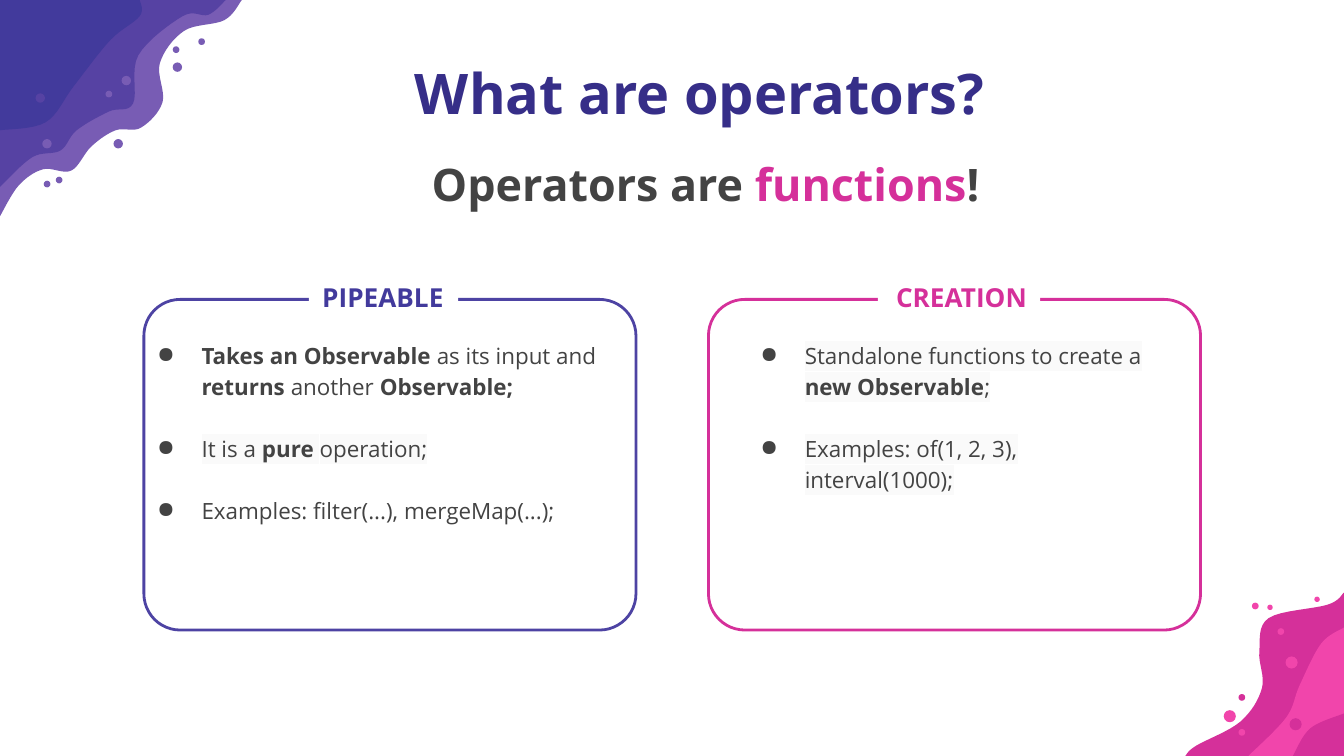
import lxml.etree
import pptx
import pptx.dml.color
import pptx.enum.shapes
import pptx.enum.text
import pptx.oxml.ns
import pptx.util

Cm = pptx.util.Cm
Pt = pptx.util.Pt
ALIGN = pptx.enum.text.PP_ALIGN
ANCHOR = pptx.enum.text.MSO_ANCHOR
SHAPE = pptx.enum.shapes.MSO_SHAPE

FONT = "Open Sans"
INDIGO, VIOLET, LILAC = "423A9C", "5642A3", "785CB4"
MAGENTA, PINK = "D5309A", "F145AB"
GREY, PALE, WHITE = "434343", "FAFAFA", "FFFFFF"
UNIT = 0.0254  # the corner art is drawn on a grid of this many centimetres
BOTTOM = 562.5

# Waves: colour and the knots of a smooth curve from the page side to its end
WAVES = [
    (LILAC, [(0, 161), (14, 138), (32, 126), (53, 127), (68, 109), (86, 97), (105, 95),
             (121, 76), (119, 47), (137, 23), (167, 15), (180, 0)]),
    (VIOLET, [(0, 139), (24, 117), (45, 112), (57, 97), (81, 83), (99, 77), (103, 41),
              (136, 12), (155, 11), (168, 0)]),
    (INDIGO, [(0, 97), (34, 91), (55, 64), (82, 30), (104, 12), (104, 0)]),
    (MAGENTA, [(1000, 441), (988, 450), (944, 460), (937, 485), (939, 512), (923, 537),
               (890, 555), (882, BOTTOM)]),
    (PINK, [(1000, 467), (983, 479), (967, 510), (957, 534), (929, BOTTOM)]),
    (MAGENTA, [(1000, 531), (975, 542), (962, BOTTOM)]),
]

# Dots: colour and diameter, then centres on the art grid
DOTS = [
    (LILAC, 5, [(150, 31), (81, 70), (131, 37), (44, 134), (35, 137)]),
    (LILAC, 7, [(94, 60), (35, 107), (132, 50), (88, 107)]),
    (VIOLET, 7, [(30, 73)]),
    (MAGENTA, 5, [(924, 519)]),
    (MAGENTA, 9, [(964, 539)]),
    (PINK, 4, [(945, 452), (980, 446)]),
    (PINK, 5, [(934, 451), (924, 545), (953, 470)]),
    (PINK, 9, [(915, 533), (961, 493)]),
]


def color(value):
    return pptx.dml.color.RGBColor.from_string(value)


def fill_plain(shape, value):
    shape.fill.solid()
    shape.fill.fore_color.rgb = color(value)
    shape.line.fill.background()
    shape.shadow.inherit = False


def smooth_curve(knots, steps=8):
    """Return points along a Catmull-Rom curve through the knots."""
    padded = [knots[0], *knots, knots[-1]]
    points = [knots[0]]
    for a, b, c, d in zip(padded, padded[1:], padded[2:], padded[3:]):
        for step in range(1, steps + 1):
            t = step / steps
            points.append(tuple(
                q + t / 2 * (r - p + t * (2 * p - 5 * q + 4 * r - s
                                          + t * (3 * (q - r) + s - p)))
                for p, q, r, s in zip(a, b, c, d)))
    return points


def add_wave(page, value, knots):
    corner = (knots[0][0], knots[-1][1])
    outline = [(Cm(x * UNIT), Cm(y * UNIT)) for x, y in smooth_curve(knots) + [corner]]
    builder = page.shapes.build_freeform(*outline[0])
    builder.add_line_segments(outline[1:])
    fill_plain(builder.convert_to_shape(), value)


def add_dot(page, value, size, x, y):
    left, top, side = (Cm(n * UNIT) for n in (x - size / 2, y - size / 2, size))
    fill_plain(page.shapes.add_shape(SHAPE.OVAL, left, top, side, side), value)


def add_card(page, left, value):
    card = page.shapes.add_shape(SHAPE.ROUNDED_RECTANGLE, Cm(left), Cm(5.66), Cm(9.3), Cm(6.25))
    card.adjustments[0] = 0.11
    card.fill.background()
    card.line.color.rgb = color(value)
    card.line.width = Pt(1.5)
    card.shadow.inherit = False


def set_frame(box, anchor):
    frame = box.text_frame
    frame.word_wrap = True
    frame.auto_size = pptx.enum.text.MSO_AUTO_SIZE.NONE
    frame.vertical_anchor = anchor
    frame.margin_left = frame.margin_right = Cm(0.25)
    frame.margin_top = frame.margin_bottom = Cm(0.25)
    return frame


def add_box(page, left, top, width, height, anchor=ANCHOR.TOP):
    box = page.shapes.add_textbox(Cm(left), Cm(top), Cm(width), Cm(height))
    return box, set_frame(box, anchor)


def set_font(font, size, value, bold=None):
    font.name, font.size, font.bold = FONT, Pt(size), bold
    font.color.rgb = color(value)


def add_label(page, left, width, text, value, align):
    box, frame = add_box(page, left, 4.93, width, 1.24, ANCHOR.BOTTOM)
    fill_plain(box, WHITE)
    para = frame.paragraphs[0]
    para.text, para.alignment = text, align
    set_font(para.font, 14, value, True)


def add_title(page, text):
    title = page.shapes.title
    title.left, title.top, title.width, title.height = Cm(3.94), Cm(0.97), Cm(18.57), Cm(1.35)
    para = set_frame(title, ANCHOR.MIDDLE).paragraphs[0]
    para.text, para.alignment, para.line_spacing = text, ALIGN.CENTER, 1.15
    set_font(para.font, 30, "362E88", True)


def add_subtitle(page, parts):
    para = add_box(page, 5.08, 2.57, 16.51, 1.35)[1].paragraphs[0]
    para.alignment, para.line_spacing = ALIGN.CENTER, 1.15
    for text, value in parts:
        span = para.add_run()
        span.text = text
        set_font(span.font, 24, value, True)


def add_element(parent, tag, **attributes):
    return lxml.etree.SubElement(parent, pptx.oxml.ns.qn(tag), **attributes)


def add_bullets(page, left, width, items):
    """Each item is a highlight flag and spans that alternate plain and bold."""
    frame = add_box(page, left, 6.15, width, 5.6)[1]
    for number, (marked, spans) in enumerate(items):
        para = frame.add_paragraph() if number else frame.paragraphs[0]
        para.line_spacing = 1.15
        para.space_before = Pt(16.6 if number else 0)
        properties = para._p.get_or_add_pPr()
        properties.set("marL", str(Cm(1.27)))
        properties.set("indent", str(Cm(-0.84)))
        add_element(add_element(properties, "a:buClr"), "a:srgbClr", val=GREY)
        add_element(properties, "a:buChar", char="●")
        set_font(para.font, 12, GREY)
        for position, text in enumerate(spans):
            if not text:
                continue
            span = para.add_run()
            span.text = text
            span.font.bold = position % 2 == 1
            if marked:
                highlight = add_element(span._r.get_or_add_rPr(), "a:highlight")
                add_element(highlight, "a:srgbClr", val=PALE)


def main():
    deck = pptx.Presentation()
    deck.slide_width, deck.slide_height = Cm(25.4), Cm(14.29)
    page = deck.slides.add_slide(deck.slide_layouts[5])

    # Corner art
    for value, knots in WAVES:
        add_wave(page, value, knots)
    for value, size, centres in DOTS:
        for x, y in centres:
            add_dot(page, value, size, x, y)

    # Headings
    add_title(page, "What are operators?")
    add_subtitle(page, [("Operators are ", GREY), ("functions", MAGENTA), ("!", GREY)])

    # Pipeable operators
    add_card(page, 2.72, "4D43A3")
    add_label(page, 5.84, 2.82, "PIPEABLE", INDIGO, ALIGN.LEFT)
    add_bullets(page, 2.29, 9.27, [
        (False, ["", "Takes an Observable", " as its input and ", "returns ",
                 "another ", "Observable;"]),
        (True, ["It is a ", "pure ", "operation;"]),
        (False, ["Examples: filter(...), mergeMap(...);"]),
    ])

    # Creation operators
    add_card(page, 13.39, MAGENTA)
    add_label(page, 16.59, 3.07, "CREATION", MAGENTA, ALIGN.RIGHT)
    add_bullets(page, 13.69, 8.33, [
        (True, ["Standalone functions to create a ", "new Observable", ";"]),
        (True, ["Examples: of(1, 2, 3), interval(1000);"]),
    ])

    deck.save("out.pptx")


if __name__ == "__main__":
    main()
